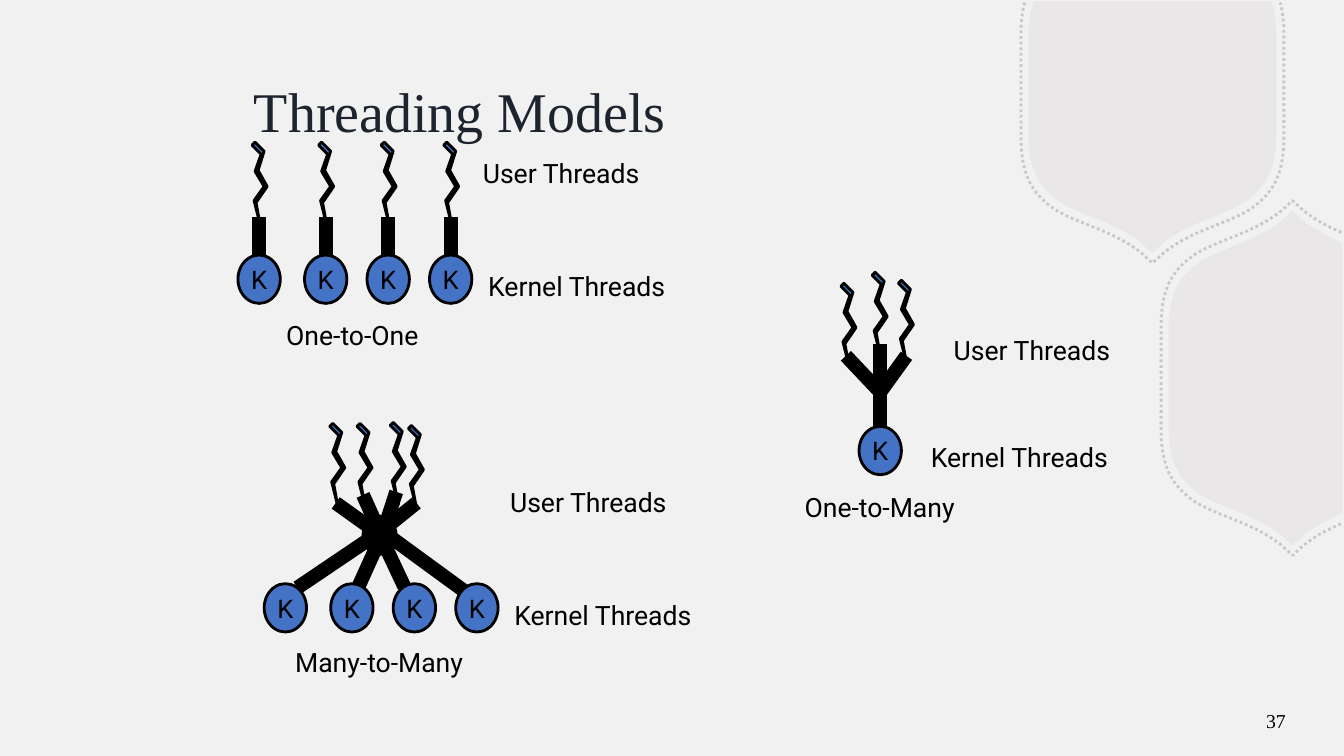
from dataclasses import dataclass

import pptx
import pptx.dml.color
import pptx.enum.dml
import pptx.enum.shapes
import pptx.enum.text
import pptx.oxml.ns
import pptx.oxml.xmlchemy
import pptx.util

PX = 9144  # EMU per px, 100 px to the inch
WIDTH, HEIGHT = 1333, 750
BLACK, BLUE, GREY = "000000", "4472C4", "B8B2B2"
ANCHOR = pptx.enum.text.MSO_ANCHOR
ALIGN = pptx.enum.text.PP_ALIGN
OVAL = pptx.enum.shapes.MSO_SHAPE.OVAL

Point = tuple[float, float]
Segment = tuple[int, int, int, int]

KERNEL_WIDTH, KERNEL_HEIGHT, STEM = 42, 48, 38
STRAND = [(8, 82), (2, 58), (12, 44), (3, 29), (9, 12), (0, 3),
          (3, 0), (12, 9), (6, 28), (15, 44), (4, 60)]

# Quarter of a hexagon: two curves from tip to side, as offsets from the tip
HEXAGON_HALF_HEIGHT = 166
HEXAGON_CURVES = [
    [(11, 10), (38, 31), (68, 36), (91, 50)],
    [(91, 50), (113, 65), (123, 83), (123, 118)],
]


@dataclass
class Text:
    text: str
    left: int
    top: int
    width: int
    height: int
    anchor: ANCHOR = ANCHOR.BOTTOM
    align: ALIGN = ALIGN.CENTER
    size: float = 19
    font: str = "Roboto"
    color: str = BLACK
    inset: tuple[int, int] = (0, 0)


@dataclass
class Model:
    strands: list[tuple[int, int]]
    kernels: list[tuple[int, int]]
    has_stems: bool
    back_limbs: list[Segment]
    limbs: list[Segment]
    labels: list[Text]


MODELS = [
    Model(
        strands=[(left, 141) for left in (250, 316, 378, 440)],
        kernels=[(left, 253) for left in (236, 302, 364, 426)],
        has_stems=True, back_limbs=[], limbs=[],
        labels=[Text("User Threads", 466, 156, 181, 56, ANCHOR.TOP),
                Text("Kernel Threads", 477, 255, 190, 44),
                Text("One-to-One", 273, 304, 153, 44)],
    ),
    Model(
        strands=[(834, 281), (865, 270), (891, 278)],
        kernels=[(852, 423)],
        has_stems=True, back_limbs=[],
        limbs=[(873, 389, x, y) for x, y in ((839, 353), (873, 341), (899, 353))],
        labels=[Text("User Threads", 933, 331, 181, 67, ANCHOR.TOP),
                Text("Kernel Threads", 916, 425, 190, 44),
                Text("One-to-Many", 776, 475, 193, 44)],
    ),
    Model(
        strands=[(327, 420), (354, 420), (387, 419), (405, 422)],
        kernels=[(left, 579) for left in (262, 328, 390, 452)],
        has_stems=False,
        back_limbs=[(460, 586, 382, 529), (401, 582, 378, 533)],
        limbs=[(382, 524, 413, 499), (295, 583, 375, 529), (356, 581, 379, 530),
               (382, 522, 393, 488), (374, 522, 360, 491), (368, 524, 333, 499)],
        labels=[Text("User Threads", 493, 482, 181, 56, ANCHOR.TOP),
                Text("Kernel Threads", 503, 582, 190, 44),
                Text("Many-to-Many", 277, 628, 198, 44)],
    ),
]


def emu(pixels: float) -> int:
    return round(pixels * PX)


def rgb(color: str) -> pptx.dml.color.RGBColor:
    return pptx.dml.color.RGBColor.from_string(color)


def paint(shape, fill: str | None, line: str | None, width: float = 2) -> None:
    shape.shadow.inherit = False
    if fill:
        shape.fill.solid()
        shape.fill.fore_color.rgb = rgb(fill)
    else:
        shape.fill.background()
    if line:
        shape.line.color.rgb = rgb(line)
        shape.line.width = pptx.util.Pt(width)
    else:
        shape.line.fill.background()


def set_opacity(shape, percent: int) -> None:
    for color in shape.element.iter(pptx.oxml.ns.qn("a:srgbClr")):
        alpha = pptx.oxml.xmlchemy.OxmlElement("a:alpha")
        alpha.set("val", str(percent * 1000))
        color.append(alpha)


def write(shape, text: Text) -> None:
    frame = shape.text_frame
    frame.text = text.text
    frame.word_wrap = True
    frame.vertical_anchor = text.anchor
    frame.margin_left = frame.margin_right = emu(text.inset[0])
    frame.margin_top = frame.margin_bottom = emu(text.inset[1])
    paragraph = frame.paragraphs[0]
    paragraph.alignment = text.align
    font = paragraph.runs[0].font
    font.size = pptx.util.Pt(text.size)
    font.name = text.font
    font.color.rgb = rgb(text.color)


def add_text(slide, text: Text) -> None:
    box = slide.shapes.add_textbox(
        emu(text.left), emu(text.top), emu(text.width), emu(text.height))
    write(box, text)


def add_outline(slide, points: list[Point], close: bool = True):
    corners = [(emu(x), emu(y)) for x, y in points]
    builder = slide.shapes.build_freeform(*corners[0], scale=1.0)
    builder.add_line_segments(corners[1:], close=close)
    return builder.convert_to_shape()


def add_oval(slide, left: int, top: int, width: int, height: int, fill: str):
    oval = slide.shapes.add_shape(OVAL, emu(left), emu(top), emu(width), emu(height))
    paint(oval, fill, BLACK)
    return oval


def add_limb(slide, limb: Segment):
    connector = slide.shapes.add_connector(
        pptx.enum.shapes.MSO_CONNECTOR.STRAIGHT, *map(emu, limb))
    connector.line.color.rgb = rgb(BLACK)
    connector.line.width = pptx.util.Pt(10)
    connector.element.spPr.append(pptx.oxml.xmlchemy.OxmlElement("a:effectLst"))
    return connector


def bezier(controls: list[Point], t: float) -> Point:
    weights = ((1 - t) ** 3, 3 * t * (1 - t) ** 2, 3 * t * t * (1 - t), t ** 3)
    x, y = (sum(w * c[axis] for w, c in zip(weights, controls)) for axis in (0, 1))
    return x, y


def hexagon_points(center_x: int, center_y: int, scale: float) -> list[Point]:
    """Mirror the quarter around the centre and keep what lies on the slide."""
    quarter = [(0, 0)] + [bezier(curve, step / 24)
                          for curve in HEXAGON_CURVES for step in range(25)]
    points = []
    for side, end, order in ((1, 1, 1), (1, -1, -1), (-1, -1, 1), (-1, 1, -1)):
        points += [(center_x + side * x * scale,
                    center_y + end * (HEXAGON_HALF_HEIGHT - y) * scale)
                   for x, y in quarter[::order]]
    visible = [x <= WIDTH and y >= 0 for x, y in points]
    start = next(i for i in range(len(points)) if visible[i] and not visible[i - 1])
    order = [(start + i) % len(points) for i in range(len(points))]
    return [points[i] for i in order if visible[i]]


def add_hexagon(slide, center_x: int, center_y: int) -> None:
    body = add_outline(slide, hexagon_points(center_x, center_y, 1))
    paint(body, GREY, None)
    set_opacity(body, 15)
    border = add_outline(slide, hexagon_points(center_x, center_y, 1.06), close=False)
    paint(border, None, GREY)
    border.line.dash_style = pptx.enum.dml.MSO_LINE.ROUND_DOT
    set_opacity(border, 65)


def add_model(slide, model: Model) -> None:
    for left, top in model.strands:
        paint(add_outline(slide, [(left + x, top + y) for x, y in STRAND]), BLUE, BLACK)
    for limb in model.back_limbs:
        add_limb(slide, limb)
    for left, top in model.kernels:
        box = (left, top, KERNEL_WIDTH, KERNEL_HEIGHT)
        kernel = add_oval(slide, *box, BLUE)
        write(kernel, Text("K", *box, anchor=ANCHOR.MIDDLE, size=18.3))
        if model.has_stems:
            middle = left + KERNEL_WIDTH // 2
            add_limb(slide, (middle, top, middle, top - STEM)).begin_connect(kernel, 0)
    for limb in model.limbs:
        add_limb(slide, limb)
    for label in model.labels:
        add_text(slide, label)


def main() -> None:
    presentation = pptx.Presentation()
    presentation.slide_width, presentation.slide_height = emu(WIDTH), emu(HEIGHT)
    slide = presentation.slides.add_slide(presentation.slide_layouts[6])
    slide.background.fill.solid()
    slide.background.fill.fore_color.rgb = rgb("F2F1F1")

    # Decoration, title and page number
    for center in ((1143, 85), (1282, 375)):
        add_hexagon(slide, *center)
    serif = "Times New Roman"
    add_text(slide, Text("Threading Models", 242, 47, 850, 125, ANCHOR.MIDDLE,
                         ALIGN.LEFT, 40, serif, "1D242E", (10, 5)))
    add_text(slide, Text("37", 1229, 695, 56, 40, ANCHOR.MIDDLE,
                         ALIGN.RIGHT, 14.1, serif, inset=(10, 5)))

    # Threading models, with the hub of the last one on top
    for model in MODELS:
        add_model(slide, model)
    add_oval(slide, 360, 512, 33, 38, BLACK)
    presentation.save("out.pptx")


if __name__ == "__main__":
    main()
